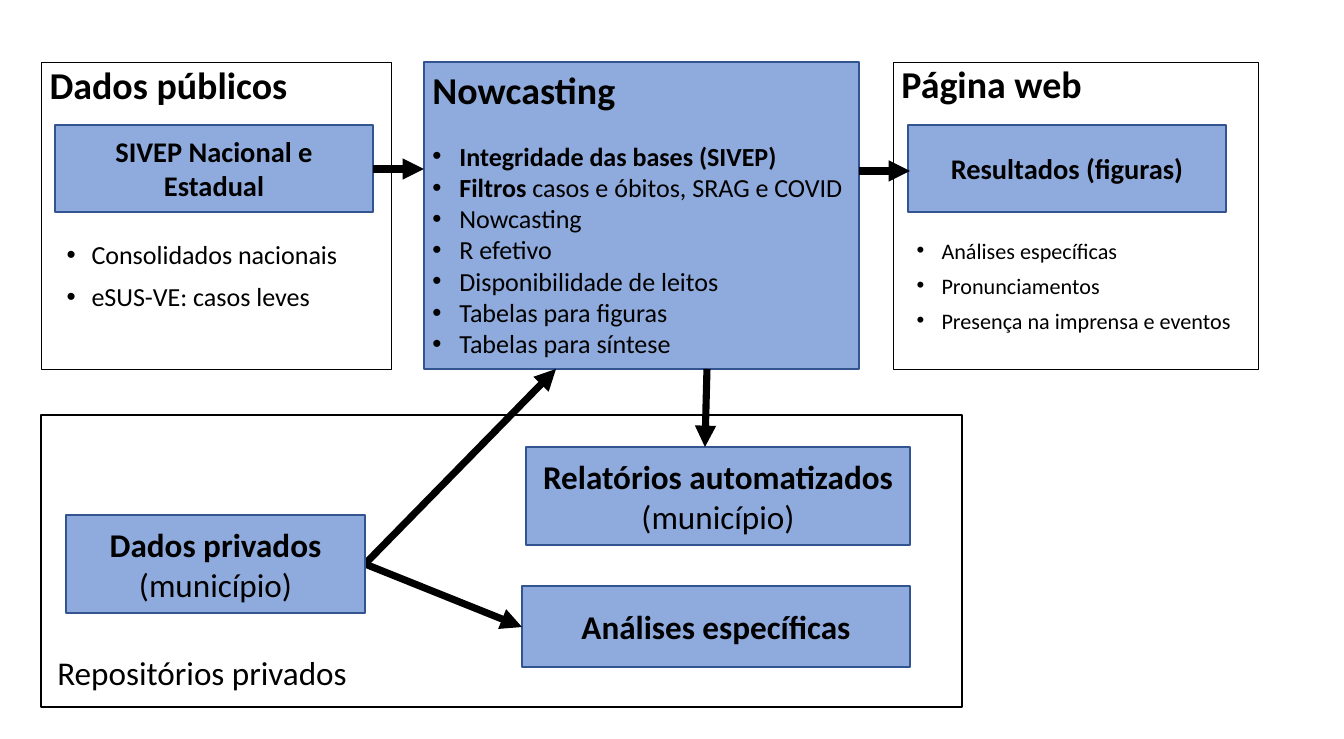
from dataclasses import dataclass
from typing import Any

from lxml.etree import SubElement as Sub
from pptx import Presentation
from pptx.dml.color import RGBColor as Rgb
from pptx.enum.shapes import MSO_CONNECTOR as Conn, MSO_SHAPE as Geo
from pptx.enum.text import MSO_ANCHOR as Anchor, MSO_AUTO_SIZE as Fit, PP_ALIGN as Align
from pptx.oxml.ns import qn
from pptx.util import Pt

SCALE = 914400 / 85.3


def px(num):
    return round(num * SCALE)


@dataclass(frozen=True)
class Theme:
    font: str = "Calibri"
    ink: Rgb = Rgb(0, 0, 0)
    fill: Rgb = Rgb.from_string("8FAADC")
    edge: Rgb = Rgb.from_string("325491")
    paper: Rgb = Rgb(255, 255, 255)
    head: float = 32
    large: float = 28
    label: float = 24
    item: float = 22
    small: float = 18.7
    gap: float = 11.6
    arrow: float = 6


@dataclass
class Board:
    slide: Any
    look: Theme

    def place(self, shape, box):
        shape.left, shape.top, shape.width, shape.height = map(px, box)
        frame = shape.text_frame
        frame.word_wrap = True
        frame.auto_size = Fit.NONE
        frame.vertical_anchor = Anchor.TOP
        return shape

    def outline(self, shape, color, width):
        shape.line.color.rgb = color
        shape.line.width = Pt(width)

    def put(self, frame, row, size, bold=False, align=Align.LEFT,
            space=1.0, before=0, dent=0):
        para = frame.paragraphs[0]
        if para.runs:
            para = frame.add_paragraph()
        para.alignment = align
        para.line_spacing = space
        para.space_before = Pt(before)
        if dent:
            props = para._p.get_or_add_pPr()
            props.set("marL", str(px(dent)))
            props.set("indent", str(-px(dent)))
            Sub(props, qn("a:buFont"), typeface="Arial")
            Sub(props, qn("a:buChar"), char="•")
        font = para.font
        font.name, font.size, font.bold = self.look.font, Pt(size), bold
        font.color.rgb = self.look.ink
        parts = [(row, bold)] if isinstance(row, str) else row
        for text, thick in parts:
            run = para.add_run()
            run.text = text
            if thick != bold:
                run.font.bold = thick

    def rect(self, box, fill=None, edge=None, width=1):
        shape = self.slide.shapes.add_shape(Geo.RECTANGLE, 0, 0, 0, 0)
        shape.shadow.inherit = False
        if fill is None:
            shape.fill.background()
        else:
            shape.fill.solid()
            shape.fill.fore_color.rgb = fill
        self.outline(shape, edge or self.look.ink, width)
        return self.place(shape, box)

    def title(self, shape, box, text):
        self.place(shape, box)
        self.outline(shape, self.look.ink, 0.75)
        self.put(shape.text_frame, text, self.look.head, True, space=0.9)

    def block(self, box, size, name, note=None):
        frame = self.rect(box, self.look.fill, self.look.edge).text_frame
        frame.vertical_anchor = Anchor.MIDDLE
        self.put(frame, name, size, True, Align.CENTER)
        if note:
            self.put(frame, note, size, align=Align.CENTER)

    def bullets(self, shape, box, rows, size, space):
        frame = self.place(shape, box).text_frame
        for row in rows:
            self.put(frame, row, size, space=space, before=self.look.gap, dent=25)

    def text(self, box, text, size):
        shape = self.place(self.slide.shapes.add_textbox(0, 0, 0, 0), box)
        self.put(shape.text_frame, text, size, space=0.9)

    def arrow(self, start, end):
        line = self.slide.shapes.add_connector(Conn.STRAIGHT, *map(px, start + end))
        self.outline(line, self.look.ink, self.look.arrow)
        Sub(line.line._get_or_add_ln(), qn("a:tailEnd"), type="triangle")
        Sub(line._element.spPr, qn("a:effectLst"))


deck = Presentation()
deck.slide_width, deck.slide_height = px(1344), px(739)
look = Theme()
board = Board(deck.slides.add_slide(deck.slide_layouts[3]), look)
head, data, web = board.slide.placeholders

TOP, TALL = 62, 307
board.title(head, (41, TOP, 350, TALL), "Dados públicos")
panel = (893, TOP, 365, TALL)
board.title(board.rect(panel), panel, "Página web")
board.bullets(data, (58, 238, 350, 106),
              ["Consolidados nacionais", "eSUS-VE: casos leves"], look.item, 0.9)
board.bullets(web, (908, 238, 350, 106),
              ["Análises específicas", "Pronunciamentos", "Presença na imprensa e eventos"],
              look.small, 0.8)
for left, name in (55, "SIVEP Nacional e Estadual"), (908, "Resultados (figuras)"):
    board.block((left, 125, 318, 87), look.label, name)

steps = [
    [("Integridade das bases (SIVEP)", True)],
    [("Filtros ", True), ("casos e óbitos, SRAG e COVID", False)],
    "Nowcasting",
    "R efetivo",
    "Disponibilidade de leitos",
    "Tabelas para figuras",
    "Tabelas para síntese",
]
core = board.rect((424, TOP, 435, TALL), look.fill, look.edge).text_frame
board.put(core, "Nowcasting", look.head, True)
for rank, step in enumerate(steps):
    board.put(core, step, look.item, before=0 if rank else look.label, dent=27)

board.rect((41, 415, 921, 292), look.paper)
board.block((526, 447, 384, 98), look.large, "Relatórios automatizados", "(município)")
board.block((522, 586, 388, 81), look.large, "Análises específicas")
board.text((49, 653, 350, 46), "Repositórios privados", look.large)

fork = (365, 564)
for start, end in (
    ((373, 169), (424, 169)),
    ((859, 171), (910, 171)),
    ((707, 369), (705, 447)),
    (fork, (556, 369)),
    (fork, (522, 627)),
):
    board.arrow(start, end)
board.block((66, 515, 299, 98), look.large, "Dados privados", "(município)")

deck.save("out.pptx")
